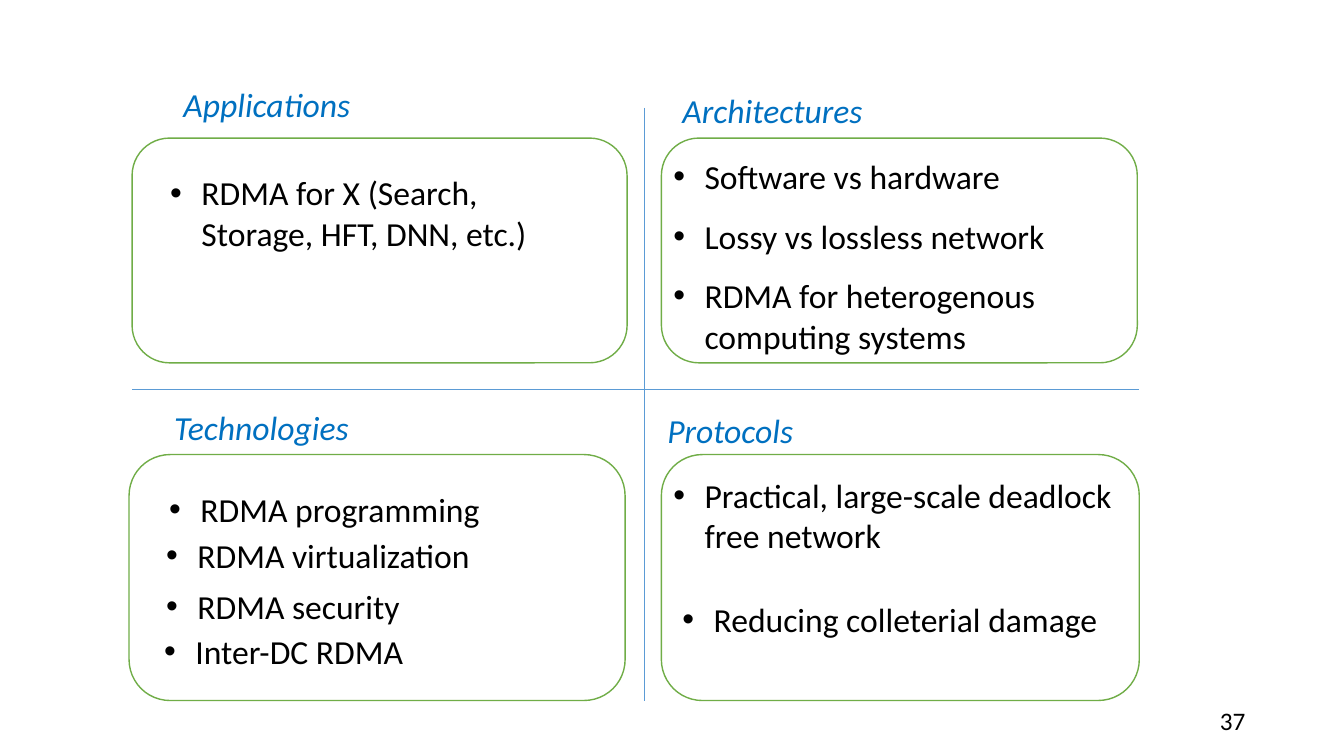
from lxml import etree
from pptx import Presentation
from pptx.dml.color import RGBColor
from pptx.enum.shapes import MSO_CONNECTOR, MSO_SHAPE
from pptx.enum.text import MSO_AUTO_SIZE
from pptx.oxml.ns import qn
from pptx.util import Inches, Pt

STRAIGHT = MSO_CONNECTOR.STRAIGHT
ROUNDED = MSO_SHAPE.ROUNDED_RECTANGLE
FIT_SHAPE = MSO_AUTO_SIZE.SHAPE_TO_FIT_TEXT

COLORS = {"text": "000000", "heading": "0070C0", "axis": "5B9BD5",
          "frame": "70AD47", "panel": "FFFFFF"}
FONT = "Calibri"
BULLET_INDENT = 0.31
LINE_HEIGHT, TWO_LINE_HEIGHT = 0.5, 0.91

# Boxes are (left, top, width, height); headings and bullets hold (text, left, top, width).
QUADRANTS = [
    {"panel": (1.31, 1.37, 4.91, 2.23),
     "heading": ("Applications", 1.72, 0.78, 1.88),
     "bullets": [("RDMA for X (Search, Storage, HFT, DNN, etc.)", 1.59, 1.66, 4.36, TWO_LINE_HEIGHT)]},
    {"panel": (1.28, 4.51, 4.92, 2.44),
     "heading": ("Technologies", 1.63, 3.99, 1.97),
     "bullets": [("RDMA programming", 1.58, 4.8, 3.61),
                 ("RDMA virtualization", 1.55, 5.26, 4.14),
                 ("RDMA security", 1.55, 5.76, 4.14),
                 ("Inter-DC RDMA", 1.53, 6.21, 4.14)]},
    {"panel": (6.56, 1.37, 4.72, 2.23),
     "heading": ("Architectures", 6.67, 0.84, 2.03),
     "bullets": [("Software vs hardware", 6.58, 1.5, 3.97),
                 ("Lossy vs lossless network", 6.58, 2.09, 3.97),
                 ("RDMA for heterogenous computing systems", 6.58, 2.68, 4.48, TWO_LINE_HEIGHT)]},
    {"panel": (6.56, 4.51, 4.74, 2.44),
     "heading": ("Protocols", 6.52, 4.02, 1.48),
     "bullets": [("Practical, large-scale deadlock free network", 6.58, 4.66, 4.72, TWO_LINE_HEIGHT),
                 ("Reducing colleterial damage", 6.67, 5.89, 4.49)]},
]
AXES = [(1.31, 3.86, 11.3, 3.86), (6.39, 1.07, 6.39, 6.95)]
PAGE_NUMBER = ("37", 12, 6.95, 0.5, 0.4)


def color(name):
    return RGBColor.from_string(COLORS[name])


def add_text(slide, text, left, top, width, height=LINE_HEIGHT, *, size=24,
             color_name="text", italic=False, wrap=False, bullet=False):
    box = slide.shapes.add_textbox(*map(Inches, (left, top, width, height)))
    frame = box.text_frame
    frame.word_wrap = wrap
    frame.auto_size = FIT_SHAPE
    paragraph = frame.paragraphs[0]
    run = paragraph.add_run()
    run.text = text
    run.font.name = FONT
    run.font.size = Pt(size)
    run.font.italic = italic
    run.font.color.rgb = color(color_name)
    if bullet:
        properties = paragraph._p.get_or_add_pPr()
        properties.set("marL", str(Inches(BULLET_INDENT)))
        properties.set("indent", str(-Inches(BULLET_INDENT)))
        etree.SubElement(properties, qn("a:buFont"), typeface="Arial")
        etree.SubElement(properties, qn("a:buChar"), char="•")


def add_axis(slide, ends):
    line = slide.shapes.add_connector(STRAIGHT, *map(Inches, ends))
    line.line.color.rgb = color("axis")
    line.line.width = Pt(0.5)
    etree.SubElement(line._element.spPr, qn("a:effectLst"))


def add_panel(slide, box):
    panel = slide.shapes.add_shape(ROUNDED, *map(Inches, box))
    panel.shadow.inherit = False
    panel.fill.solid()
    panel.fill.fore_color.rgb = color("panel")
    panel.line.color.rgb = color("frame")
    panel.line.width = Pt(1)


def main():
    presentation = Presentation()
    presentation.slide_width = Inches(13.33)
    presentation.slide_height = Inches(7.5)
    slide = presentation.slides.add_slide(presentation.slide_layouts[6])

    add_text(slide, *PAGE_NUMBER, size=18)
    for ends in AXES:
        add_axis(slide, ends)
    for quadrant in QUADRANTS:
        add_panel(slide, quadrant["panel"])
        add_text(slide, *quadrant["heading"], color_name="heading", italic=True)
        for bullet in quadrant["bullets"]:
            add_text(slide, *bullet, wrap=True, bullet=True)

    presentation.save("out.pptx")


if __name__ == "__main__":
    main()
